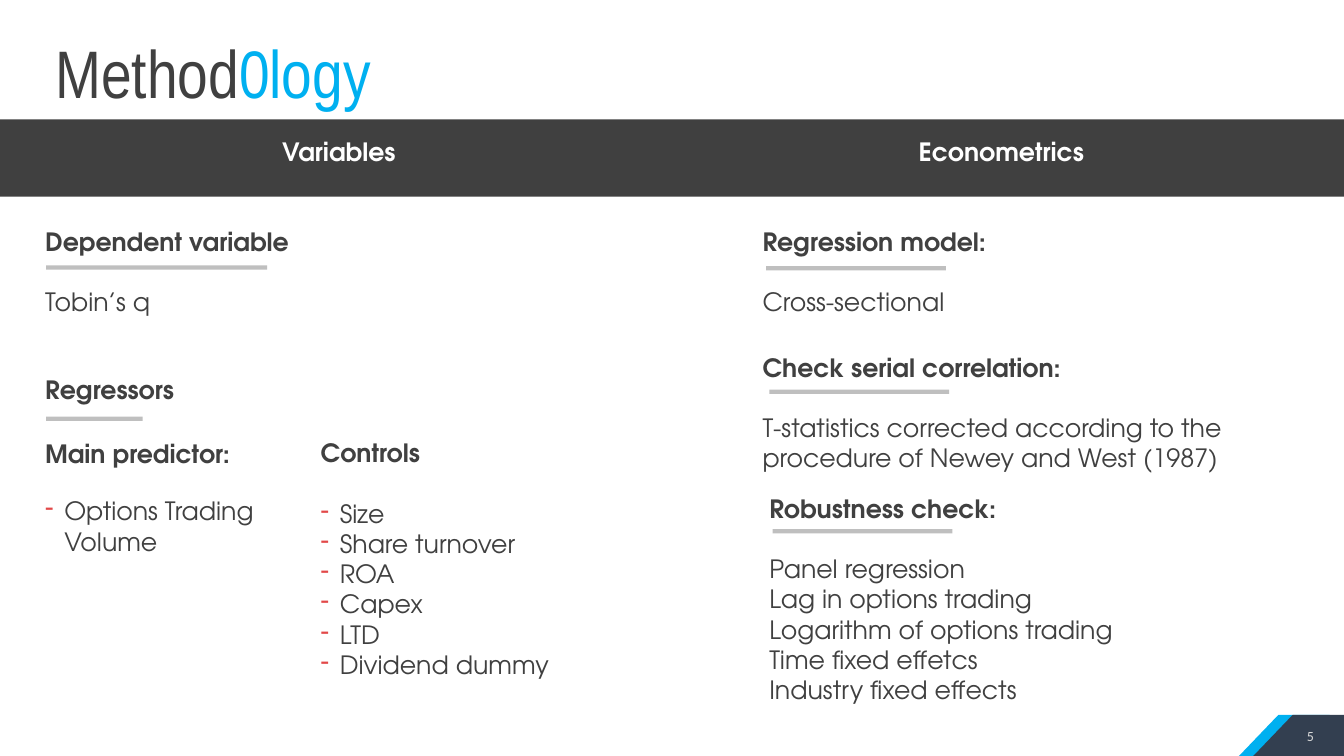
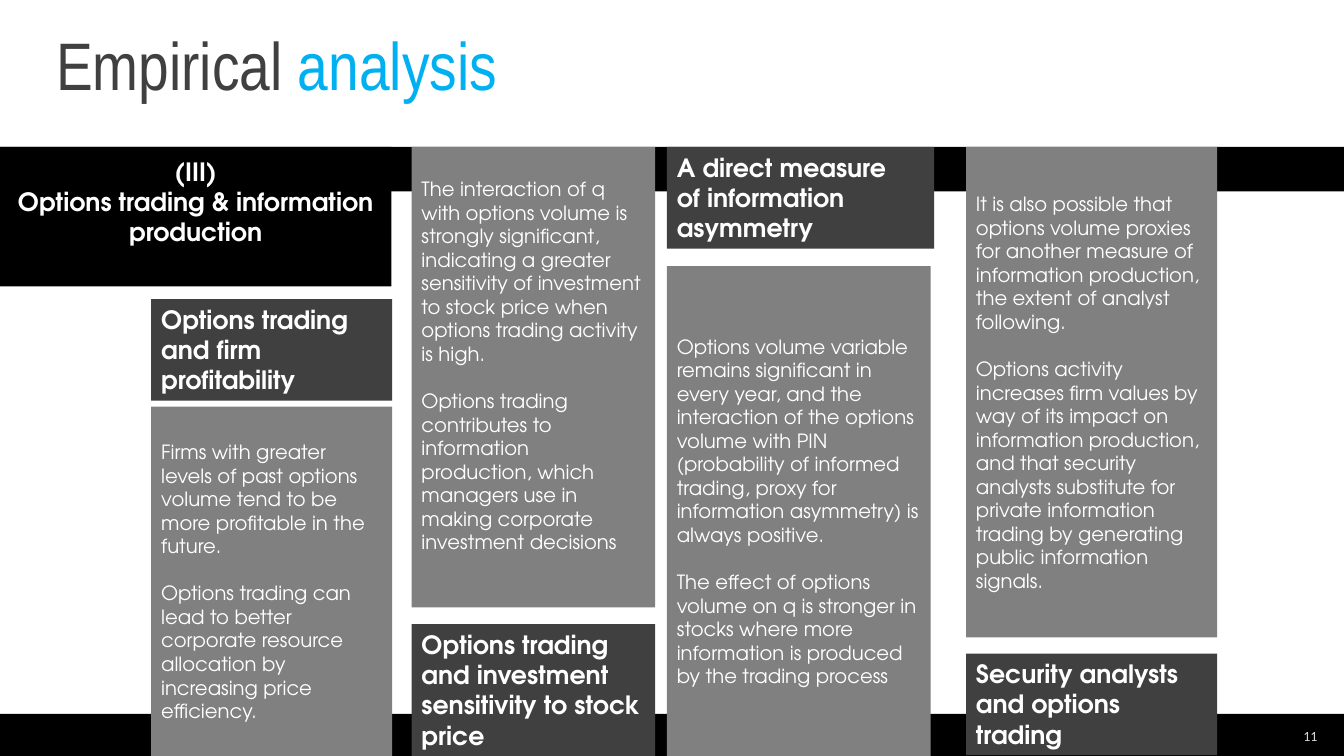
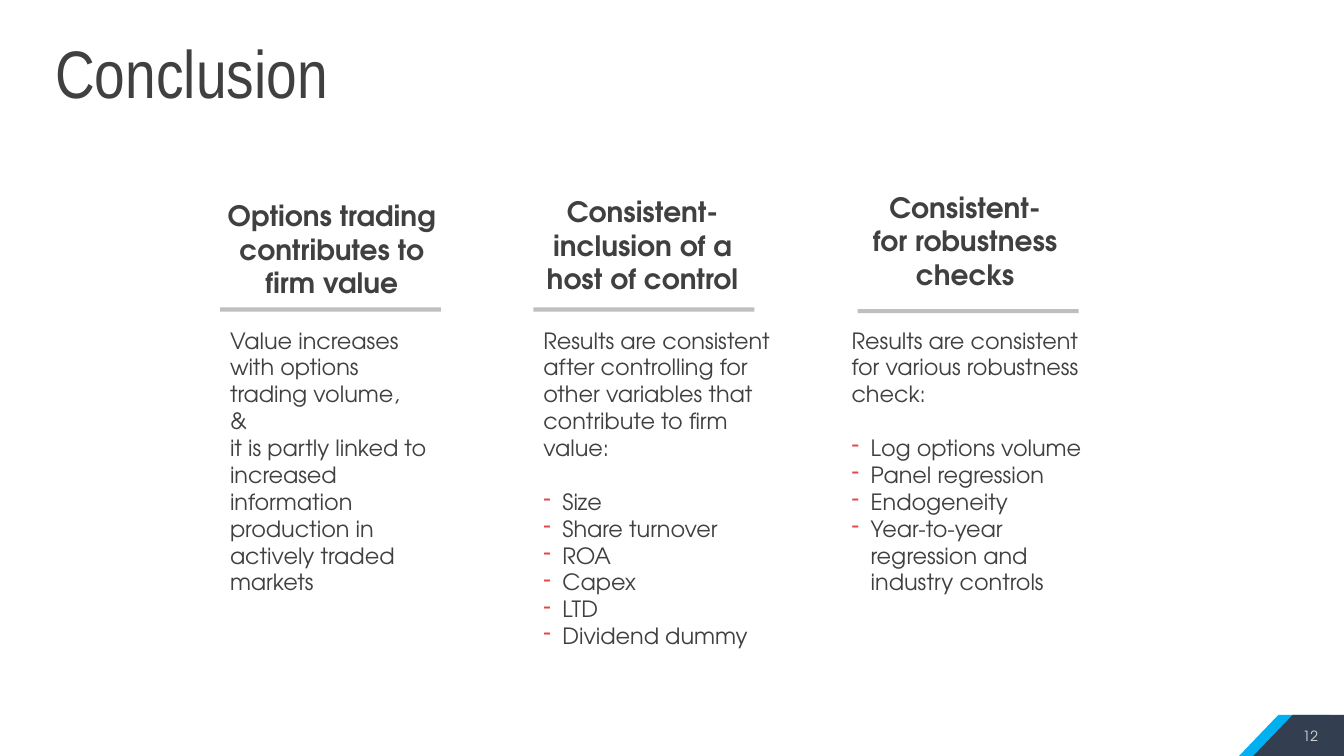
"""Build three slides of a talk on options trading and firm value."""
from dataclasses import dataclass, replace

from lxml import etree
from pptx import Presentation
from pptx.dml.color import RGBColor
from pptx.enum.shapes import MSO_SHAPE
from pptx.enum.text import MSO_ANCHOR, PP_ALIGN
from pptx.oxml.ns import qn
from pptx.util import Emu, Inches, Pt

RECTANGLE = MSO_SHAPE.RECTANGLE
TOP, MIDDLE = MSO_ANCHOR.TOP, MSO_ANCHOR.MIDDLE
LEFT, CENTER = PP_ALIGN.LEFT, PP_ALIGN.CENTER

COLUMNS, ROWS = 160, 90
CELL = Inches(1) / 12
LINE_HEIGHT = 1.2
BULLET_INDENT = Inches(0.19)
RULE_HEIGHT = 0.5

WHITE = RGBColor(0xFF, 0xFF, 0xFF)
BLACK = RGBColor(0x00, 0x00, 0x00)
CHARCOAL = RGBColor(0x40, 0x40, 0x40)
GRAY = RGBColor(0x80, 0x80, 0x80)
SILVER = RGBColor(0xBF, 0xBF, 0xBF)
PALE = RGBColor(0xD9, 0xD9, 0xD9)
CYAN = RGBColor(0x00, 0xB0, 0xF0)
NAVY = RGBColor(0x33, 0x3F, 0x50)
RED = RGBColor(0xE2, 0x48, 0x48)

BODY_FONT = "TeX Gyre Adventor"
TITLE_FONT = "Arial Narrow"
NUMBER_FONT = "Calibri"


@dataclass(frozen=True)
class Area:
    """A rectangle in columns and rows of the slide grid."""
    left: float
    top: float
    width: float
    height: float


@dataclass(frozen=True)
class Style:
    """The look of the text in one box."""
    size: float
    color: RGBColor
    bold: bool = False
    face: str = BODY_FONT
    align: PP_ALIGN = LEFT
    anchor: MSO_ANCHOR = TOP


@dataclass(frozen=True)
class Line:
    """A paragraph with the gap above it in lines."""
    text: str
    gap: float = 0
    bold: bool = False
    bullet: bool = False


@dataclass(frozen=True)
class Section:
    """A text block and the rule under its heading."""
    area: Area
    lines: list[Line]
    rule: Area | None = None


@dataclass(frozen=True)
class Card:
    """A finding with its heading panel and its body panel."""
    heading_area: Area
    heading: list[str]
    body_area: Area
    body: list[str]
    lift: float = 0


@dataclass(frozen=True)
class Takeaway:
    """A conclusion column with heading, rule and body."""
    heading_area: Area
    heading: list[str]
    rule: Area
    body_area: Area
    body: list[Line]


SECTION_STYLE = Style(18, CHARCOAL)
BAND_STYLE = Style(18, WHITE, bold=True)
CARD_STYLE = Style(14, WHITE, anchor=MIDDLE)
TAKEAWAY_HEADING = Style(20, CHARCOAL, bold=True, align=CENTER, anchor=MIDDLE)
TAKEAWAY_STYLE = Style(16, CHARCOAL)
TITLE_STYLE = Style(48, CHARCOAL, face=TITLE_FONT, anchor=MIDDLE)
NUMBER_STYLE = Style(10, PALE, face=NUMBER_FONT, align=CENTER, anchor=MIDDLE)


def cells(count: float) -> Emu:
    """Convert grid cells to a length."""
    return Emu(round(count * CELL))


def place(area: Area) -> tuple[Emu, Emu, Emu, Emu]:
    """Return the lengths of an area."""
    return cells(area.left), cells(area.top), cells(area.width), cells(area.height)


def paint(shape, fill: RGBColor) -> None:
    """Give a shape a plain fill without line or shadow."""
    shape.shadow.inherit = False
    shape.fill.solid()
    shape.fill.fore_color.rgb = fill
    shape.line.fill.background()


def add_panel(page, area: Area, fill: RGBColor):
    """Draw a filled rectangle."""
    panel = page.shapes.add_shape(RECTANGLE, *place(area))
    paint(panel, fill)
    return panel


def add_bullet(para) -> None:
    """Hang a red dash before a paragraph."""
    props = para._p.get_or_add_pPr()
    props.set("marL", str(BULLET_INDENT))
    props.set("indent", str(-BULLET_INDENT))
    color = etree.SubElement(props, qn("a:buClr"))
    etree.SubElement(color, qn("a:srgbClr")).set("val", str(RED))
    etree.SubElement(props, qn("a:buChar")).set("char", "-")


def write(box, lines: list[Line], style: Style, lift: float = 0) -> None:
    """Fill a box with paragraphs, lifted by a deeper bottom margin."""
    frame = box.text_frame
    frame.word_wrap = True
    frame.vertical_anchor = style.anchor
    frame.margin_bottom = Inches(0.05) + Pt(lift * style.size * LINE_HEIGHT)
    for index, line in enumerate(lines):
        para = frame.add_paragraph() if index else frame.paragraphs[0]
        span = para.add_run()
        span.text = line.text
        para.alignment = style.align
        if line.bullet:
            add_bullet(para)
        if line.gap:
            para.space_before = Pt(line.gap * style.size * LINE_HEIGHT)
        for font in (para.font, span.font):
            font.name = style.face
            font.size = Pt(style.size)
            font.bold = style.bold or line.bold
            font.color.rgb = style.color


def add_text(page, area: Area, lines: list[Line], style: Style):
    """Add a text box."""
    box = page.shapes.add_textbox(*place(area))
    write(box, lines, style)
    return box


def plain(*texts: str) -> list[Line]:
    """Make plain lines."""
    return [Line(text) for text in texts]


def bullets(*texts: str, gap: float = 1) -> list[Line]:
    """Make a dashed list with a gap above it."""
    return [Line(text, 0 if index else gap, bullet=True) for index, text in enumerate(texts)]


def headed(heading: str, *texts: str) -> list[Line]:
    """Make a bold heading with plain lines one line below."""
    return [Line(heading, bold=True)] + [
        Line(text, 0 if index else 1) for index, text in enumerate(texts)]


def add_title(page, area: Area, text: str, accent: str = "") -> None:
    """Add the slide title with an optional cyan ending."""
    box = add_text(page, area, plain(text), TITLE_STYLE)
    if accent:
        span = box.text_frame.paragraphs[0].add_run()
        span.text = accent
        span.font.name = TITLE_FONT
        span.font.size = Pt(TITLE_STYLE.size)
        span.font.color.rgb = CYAN


def add_corner(page) -> None:
    """Draw the two slanted wedges of the footer."""
    top, slant, width = 85.1, 4.7, 10.8
    for right, fill in ((COLUMNS - 1.7, CYAN), (COLUMNS, NAVY)):
        left = right - width
        outline = [(left + slant, top), (right, top), (right, ROWS), (left, ROWS)]
        points = [(cells(x), cells(y)) for x, y in outline]
        builder = page.shapes.build_freeform(*points[0])
        builder.add_line_segments(points[1:])
        paint(builder.convert_to_shape(), fill)


def add_number(page, number: int, face: str = NUMBER_FONT) -> None:
    """Add the slide number."""
    add_text(page, Area(152, 85.3, 8, 4.6), plain(str(number)), replace(NUMBER_STYLE, face=face))


def add_page(deck):
    """Add a blank slide."""
    return deck.slides.add_slide(deck.slide_layouts[6])


CONTROLS = ("Size", "Share turnover", "ROA", "Capex", "LTD", "Dividend dummy")

SECTIONS = [
    Section(Area(4.2, 26.3, 34.6, 12.1), headed("Dependent variable", "Tobin’s q"),
            Area(5.5, 31.6, 26.3, RULE_HEIGHT)),
    Section(Area(4.2, 44, 21.8, 4.8), headed("Regressors"),
            Area(5.5, 49.6, 11.5, RULE_HEIGHT)),
    Section(Area(4.2, 51.6, 34.6, 15.4),
            headed("Main predictor:") + bullets("Options Trading Volume", gap=0.9)),
    Section(Area(37, 51.5, 34.6, 30.2), headed("Controls") + bullets(*CONTROLS)),
    Section(Area(89.6, 26.3, 34.6, 12.1), headed("Regression model:", "Cross-sectional"),
            Area(91.2, 31.7, 21.4, RULE_HEIGHT)),
    Section(Area(89.6, 41.3, 60.1, 15.7),
            headed("Check serial correlation:",
                   "T-statistics corrected according to the procedure of Newey and West (1987)"),
            Area(91.6, 46.4, 21.4, RULE_HEIGHT)),
    Section(Area(90.4, 58.1, 45.2, 30.2),
            headed("Robustness check:", "Panel regression", "Lag in options trading",
                   "Logarithm of options trading", "Time fixed effetcs",
                   "Industry fixed effects"),
            Area(92, 63, 21.4, RULE_HEIGHT)),
]

CARDS = [
    Card(Area(18, 35.6, 28.7, 12.1), ["Options trading and firm profitability"],
         Area(18, 48.4, 28.7, 41.6),
         ["Firms with greater levels of past options volume tend to be more profitable "
          "in the future.",
          "Options trading can lead to better corporate resource allocation by increasing "
          "price efficiency."]),
    Card(Area(49, 74.3, 29, 15.7),
         ["Options trading and investment sensitivity to stock price"],
         Area(49, 17.5, 29, 54.8),
         ["The interaction of q with options volume is strongly significant, indicating a "
          "greater sensitivity of investment to stock price when options trading activity "
          "is high.",
          "Options trading contributes to information production, which managers use in "
          "making corporate investment decisions"], lift=1),
    Card(Area(79.4, 17.5, 31.8, 12.1),
         ["A direct measure", "of information asymmetry"],
         Area(79.4, 31.7, 31.4, 58.3),
         ["Options volume variable remains significant in every year, and the interaction "
          "of the options volume with PIN (probability of informed trading, proxy for "
          "information asymmetry) is always positive.",
          "The effect of options volume on q is stronger in stocks where more information "
          "is produced by the trading process"]),
    Card(Area(115, 77.8, 29.9, 12.1), ["Security analysts and options trading"],
         Area(115, 17.5, 29.9, 58.4),
         ["It is also possible that options volume proxies for another measure of "
          "information production, the extent of analyst following.",
          "Options activity increases firm values by way of its impact on information "
          "production, and that security analysts substitute for private information "
          "trading by generating public information signals."]),
]

TAKEAWAYS = [
    Takeaway(Area(25, 23.9, 29, 11.5), ["Options trading contributes to firm value"],
             Area(26.2, 36.6, 26.3, RULE_HEIGHT), Area(26.2, 38.3, 26.3, 33.5),
             plain("Value increases with options trading volume,", "&",
                   "it is partly linked to increased information production in actively "
                   "traded markets")),
    Takeaway(Area(62, 23.4, 29, 11.5), ["Consistent- inclusion of a host of control"],
             Area(63.5, 36.6, 26.3, RULE_HEIGHT), Area(63.5, 38.3, 30.2, 40),
             plain("Results are consistent after controlling for other variables that "
                   "contribute to firm value:") + bullets(*CONTROLS)),
    Takeaway(Area(100.4, 22.9, 29, 11.5), ["Consistent-", "for robustness checks"],
             Area(102.1, 36.8, 26.3, RULE_HEIGHT), Area(100.2, 38.3, 30.2, 33.5),
             plain("Results are consistent for various robustness check:")
             + bullets("Log options volume", "Panel regression", "Endogeneity",
                       "Year-to-year regression and industry controls")),
]


def build_methodology(deck) -> None:
    """Build the slide on variables and econometrics."""
    page = add_page(deck)
    add_corner(page)
    add_panel(page, Area(0, 14.2, COLUMNS, 9.2), CHARCOAL)
    add_number(page, 5)
    add_title(page, Area(5.4, 4.3, 43.2, 8.4), "Method", "0logy")
    for left, width, heading in ((32.4, 18.2, "Variables"), (108.2, 26.2, "Econometrics")):
        add_text(page, Area(left, 15.7, width, 4.8), plain(heading), BAND_STYLE)
    for section in SECTIONS:
        add_text(page, section.area, section.lines, SECTION_STYLE)
        if section.rule:
            add_panel(page, section.rule, SILVER)


def build_analysis(deck) -> None:
    """Build the slide with the four findings."""
    page = add_page(deck)
    for top, height in ((17.5, 5.3), (85, 5)):
        add_panel(page, Area(0, top, COLUMNS, height), BLACK)
    add_number(page, 11)
    add_title(page, Area(5.5, 3.4, 127.6, 8.4), "Empirical ", "analysis")
    for card in CARDS:
        write(add_panel(page, card.heading_area, CHARCOAL), plain(*card.heading), BAND_STYLE)
        first, second = card.body
        write(add_panel(page, card.body_area, GRAY), [Line(first), Line(second, 1)],
              CARD_STYLE, card.lift)
    topic = add_panel(page, Area(0, 17.5, 46.6, 16.6), BLACK)
    write(topic, plain("(III)", "Options trading & information production"),
          replace(BAND_STYLE, align=CENTER, anchor=MIDDLE), lift=1)


def build_conclusion(deck) -> None:
    """Build the slide with the three takeaways."""
    page = add_page(deck)
    add_corner(page)
    add_number(page, 12, BODY_FONT)
    add_title(page, Area(5.4, 4.3, 127.6, 8.4), "Conclusion")
    for takeaway in TAKEAWAYS:
        add_text(page, takeaway.heading_area, plain(*takeaway.heading), TAKEAWAY_HEADING)
        add_panel(page, takeaway.rule, SILVER)
        add_text(page, takeaway.body_area, takeaway.body, TAKEAWAY_STYLE)


def main() -> None:
    """Build and save the deck."""
    deck = Presentation()
    deck.slide_width, deck.slide_height = cells(COLUMNS), cells(ROWS)
    build_methodology(deck)
    build_analysis(deck)
    build_conclusion(deck)
    deck.save("out.pptx")


if __name__ == "__main__":
    main()
